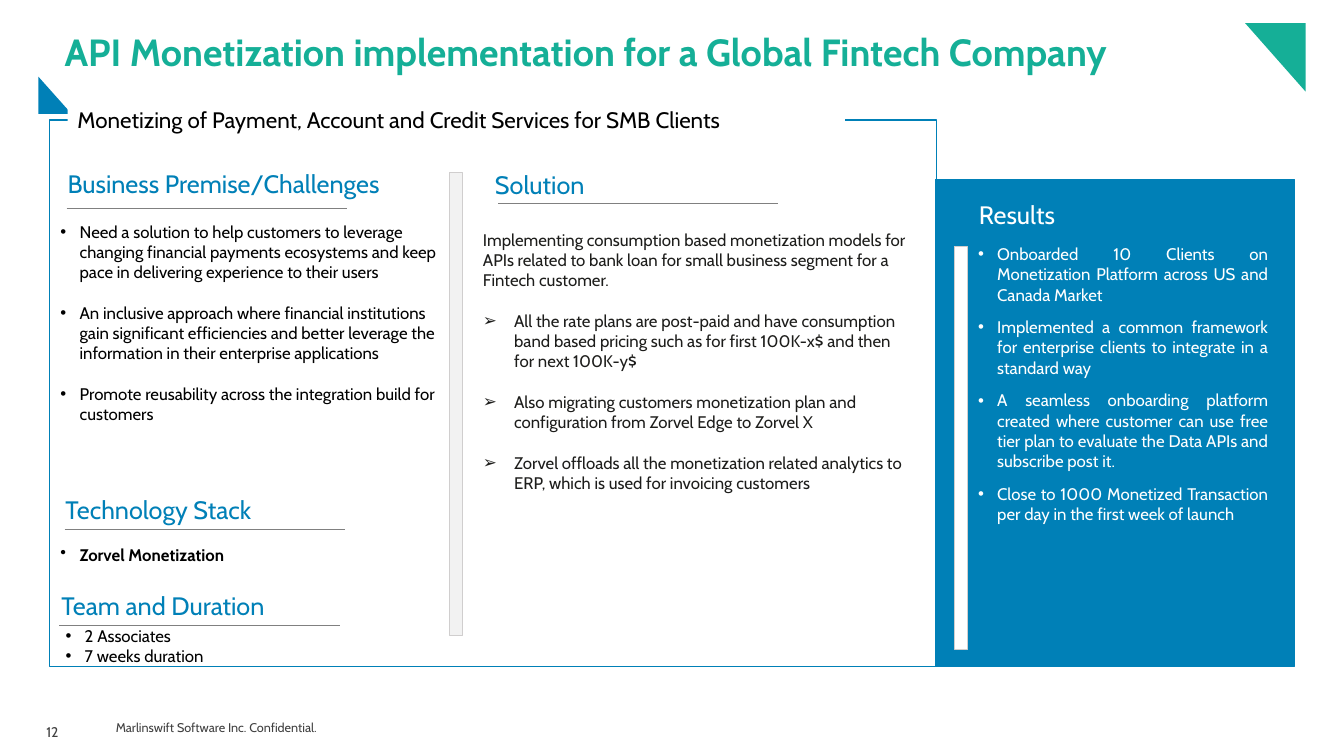
from lxml import etree
from pptx import Presentation
from pptx.dml.color import RGBColor
from pptx.enum.shapes import MSO_CONNECTOR as Link, MSO_SHAPE as Preset
from pptx.enum.text import MSO_ANCHOR as Anchor, MSO_AUTO_SIZE as Fit, PP_ALIGN as Align
from pptx.oxml.ns import qn
from pptx.util import Inches, Pt

FONT = "Cabin"
COLORS = {
    "blue": "0080B7", "green": "15AF97", "white": "FFFFFF", "black": "000000",
    "ink": "1D1D1B", "note": "404040", "rule": "808080", "pale": "F2F2F2",
    "edge": "D0CECE",
}
GAP = 14.6  # one 12 pt line of text

CHALLENGES = [
    "Need a solution to help customers to leverage changing financial payments "
    "ecosystems and keep pace in delivering experience to their users",
    "An inclusive approach where financial institutions gain significant "
    "efficiencies and better leverage the information in their enterprise applications",
    "Promote reusability across the integration build for customers",
]
INTRO = ("Implementing consumption based monetization models for APIs related to "
         "bank loan for small business segment for a Fintech customer.")
SOLUTION = [
    "All the rate plans are post-paid and have consumption band based pricing "
    "such as for first 100K-x$ and then for next 100K-y$",
    "Also migrating customers monetization plan and configuration from "
    "Zorvel Edge to Zorvel X",
    "Zorvel offloads all the monetization related analytics to ERP, which is "
    "used for invoicing customers",
]
RESULTS = [
    "Onboarded 10 Clients on Monetization Platform across US and Canada Market",
    "Implemented a common framework for enterprise clients to integrate in a standard way",
    "A seamless onboarding platform created where customer can use free tier plan "
    "to evaluate the Data APIs and subscribe post it.",
    "Close to 1000 Monetized Transaction per day in the first week of launch",
]
HEADS = [
    ("Business Premise/Challenges", 0.67, 1.67, "blue"),
    ("Solution", 4.91, 1.68, "blue"),
    ("Results", 9.71, 1.98, "white"),
    ("Technology Stack", 0.65, 4.9, "blue"),
    ("Team and Duration", 0.61, 5.86, "blue"),
]
RULES = [(0.66, 2.07), (4.94, 2.02), (0.64, 5.25), (0.59, 6.2)]
CORNERS = [
    ([(12.35, 0.23), (12.95, 0.23), (12.95, 0.91)], "green"),
    ([(0.71, 1.13), (0.38, 1.13), (0.38, 0.76)], "blue"),
]


def rgb(name):
    return RGBColor.from_string(COLORS[name])


def place(shape, box):
    shape.left, shape.top, shape.width, shape.height = map(Inches, box)


def setup(frame, inset, anchor=Anchor.TOP):
    frame.word_wrap = True
    frame.auto_size = Fit.NONE
    frame.vertical_anchor = anchor
    frame.margin_left = frame.margin_right = Inches(inset)
    frame.margin_top = frame.margin_bottom = Inches(inset)


def style(para, size, color, bold=False):
    for run in para.runs:
        font = run.font
        font.name, font.size, font.bold = FONT, Pt(size), bold
        font.color.rgb = rgb(color)


def bullet(para, mark, hang):
    """Set a hanging bullet, or none when mark is empty."""
    props = para._p.get_or_add_pPr()
    props.set("marL", str(Inches(hang)))
    props.set("indent", str(-Inches(hang)))
    if mark:
        etree.SubElement(props, qn("a:buChar"), char=mark)
    else:
        etree.SubElement(props, qn("a:buNone"))


def label(slide, text, box, size, color, inset=0.0, anchor=Anchor.TOP):
    shape = slide.shapes.add_textbox(*map(Inches, box))
    setup(shape.text_frame, inset, anchor)
    para = shape.text_frame.paragraphs[0]
    para.text = text
    style(para, size, color)
    return para


def items(shape, box, lines, color="black", gap=0.0, mark="•", hang=0.19,
          intro=None, align=Align.LEFT, bold=False):
    """Fill a shape with a bulleted list, after an optional plain paragraph."""
    place(shape, box)
    frame = shape.text_frame
    setup(frame, 0.1)
    rows = [(line, mark, hang) for line in lines]
    if intro:
        rows.insert(0, (intro, "", 0))
    for i, (line, sign, dent) in enumerate(rows):
        para = frame.add_paragraph() if i else frame.paragraphs[0]
        para.text = line
        bullet(para, sign, dent)
        para.alignment = align
        para.space_before = Pt(gap if i else 0)
        para.space_after = Pt(0)
        style(para, 12, color, bold)


def paint(shape, fill, edge=None, width=0.75):
    shape.shadow.inherit = False
    if fill:
        shape.fill.solid()
        shape.fill.fore_color.rgb = rgb(fill)
    else:
        shape.fill.background()
    if edge:
        shape.line.color.rgb = rgb(edge)
        shape.line.width = Pt(width)
    else:
        shape.line.fill.background()


def panel(slide, box, fill, edge=None, width=0.75):
    shape = slide.shapes.add_shape(Preset.RECTANGLE, *map(Inches, box))
    paint(shape, fill, edge, width)
    return shape


def corner(slide, points, color):
    first, *rest = [(Inches(x), Inches(y)) for x, y in points]
    build = slide.shapes.build_freeform(*first)
    build.add_line_segments(rest, close=True)
    paint(build.convert_to_shape(), color)


def rule(slide, left, top):
    line = slide.shapes.add_connector(
        Link.STRAIGHT, Inches(left), Inches(top), Inches(left + 2.78), Inches(top))
    line.line.color.rgb = rgb("rule")
    line.line.width = Pt(0.5)
    etree.SubElement(line._element.spPr, qn("a:effectLst"))


def heading(slide):
    title = slide.shapes.title
    place(title, (0.64, 0.33, 12.01, 0.41))
    setup(title.text_frame, 0, Anchor.MIDDLE)
    para = title.text_frame.paragraphs[0]
    para.text = "API Monetization implementation for a Global Fintech Company"
    para.alignment = Align.LEFT
    para.line_spacing = 0.9
    style(para, 27, "green", True)


def banner(slide):
    shape = panel(slide, (0.67, 1, 7.71, 0.37), "white")
    frame = shape.text_frame
    frame.word_wrap = True
    frame.vertical_anchor = Anchor.TOP
    para = frame.paragraphs[0]
    para.text = "Monetizing of Payment, Account and Credit Services for SMB Clients"
    para.alignment = Align.LEFT
    style(para, 16, "black")


def main():
    deck = Presentation()
    deck.slide_width, deck.slide_height = Inches(13.33), Inches(7.5)
    slide = deck.slides.add_slide(deck.slide_layouts[4])
    heading(slide)
    for points, color in CORNERS:
        corner(slide, points, color)
    panel(slide, (9.28, 1.78, 3.56, 4.83), "blue", "blue")
    panel(slide, (9.47, 2.45, 0.13, 3.99), "white", "edge")
    panel(slide, (0.49, 1.19, 8.8, 5.42), None, "blue", 1)
    panel(slide, (4.46, 1.71, 0.13, 4.6), "pale", "edge")
    banner(slide)
    for text, left, top, color in HEADS:
        label(slide, text, (left, top, 3.6, 0.3), 18, color)
    for left, top in RULES:
        rule(slide, left, top)

    bodies = [shape for shape in slide.placeholders if shape != slide.shapes.title]
    for body in bodies:  # lists lie above the panels
        slide.shapes._spTree.append(body._element)
    needs, plan, gains, team = bodies
    items(needs, (0.5, 2.1, 3.93, 2.42), CHALLENGES, gap=GAP)
    items(plan, (4.69, 2.18, 4.42, 3.12), SOLUTION, "ink", GAP, "➢", 0.31, INTRO)
    items(gains, (9.6, 2.32, 3.08, 3.21), RESULTS, "white", 9, align=Align.JUSTIFY)
    items(team, (0.55, 6.11, 3.85, 0.61), ["2 Associates", "7 weeks duration"])
    stack = slide.shapes.add_textbox(0, 0, 0, 0)
    items(stack, (0.5, 5.3, 3.85, 0.4), ["Zorvel Monetization"], bold=True)

    label(slide, "Marlinswift Software Inc. Confidential.",
          (1.05, 7.05, 2.73, 0.34), 9, "note", 0.1, Anchor.MIDDLE)
    page = label(slide, "12", (0.46, 7.11, 0.37, 0.31), 10, "note")
    page.line_spacing = Pt(17)
    deck.save("out.pptx")


if __name__ == "__main__":
    main()
